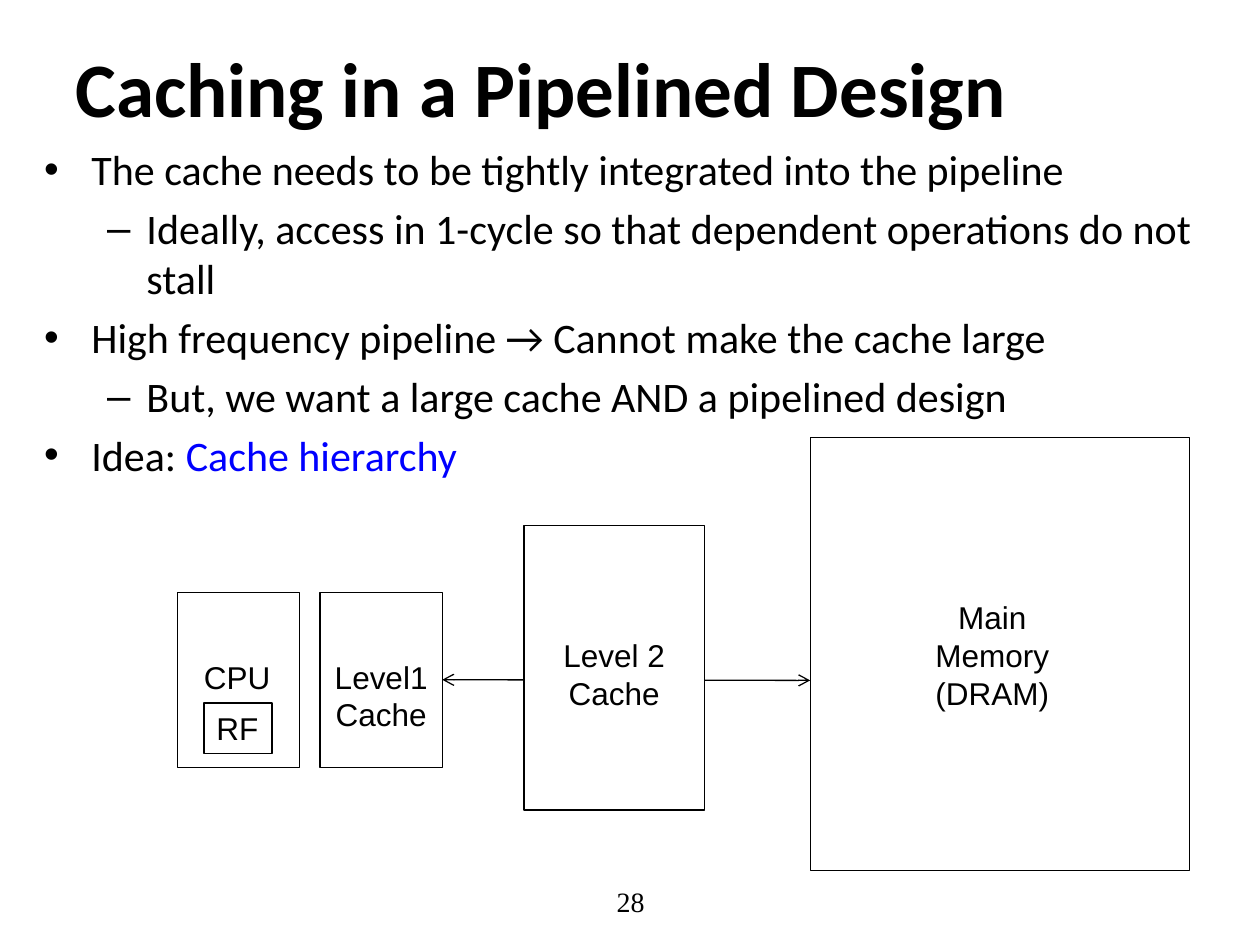
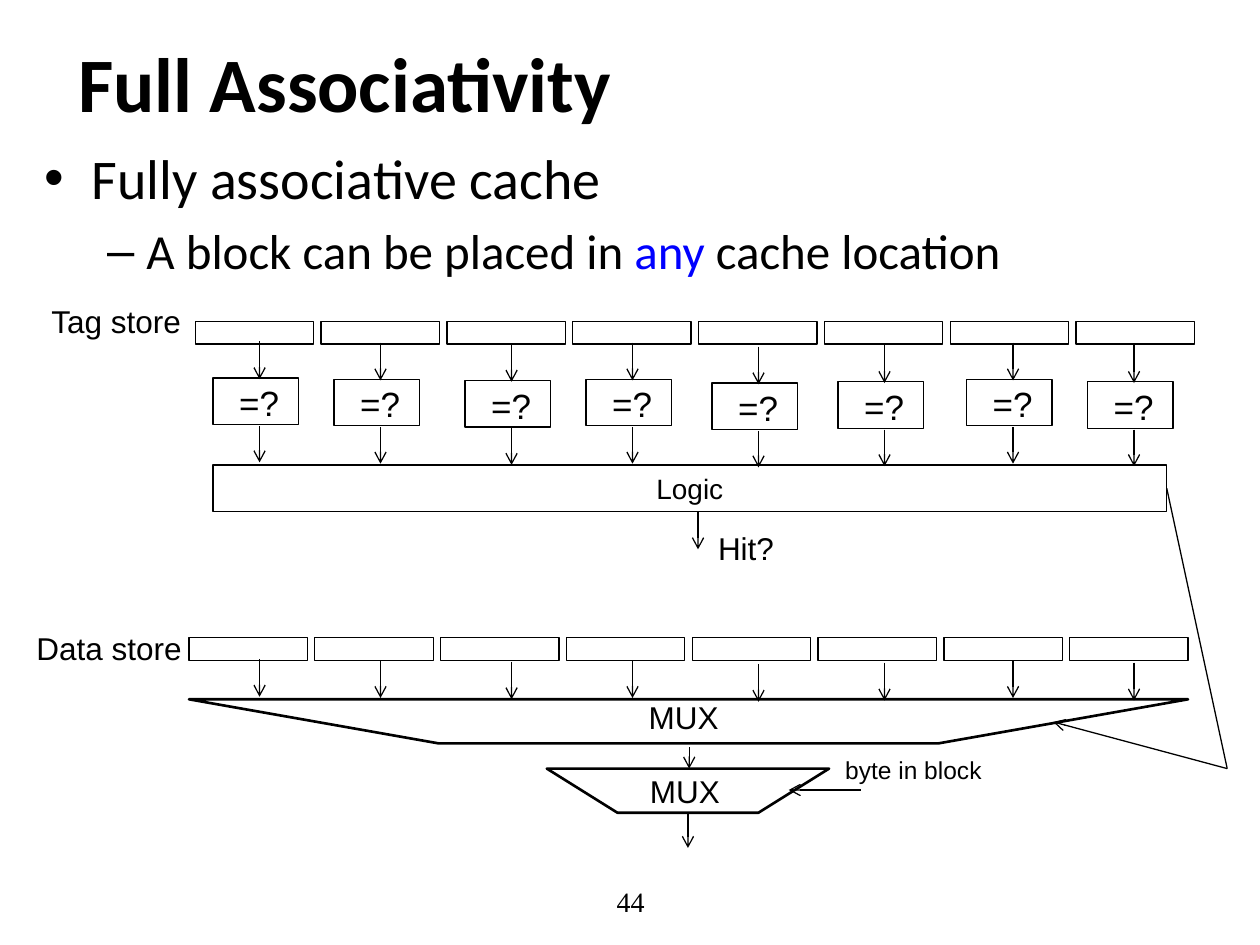
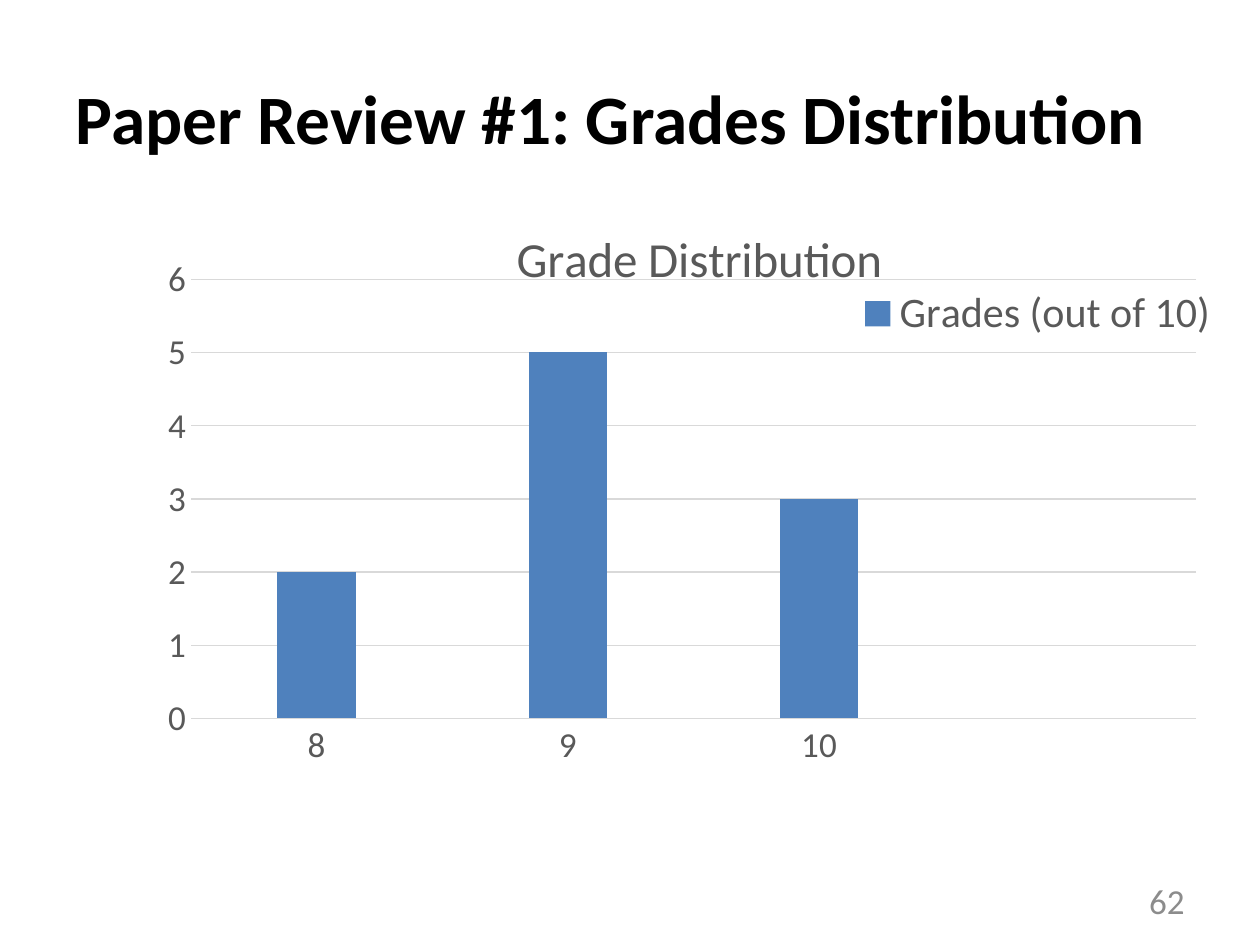
from dataclasses import dataclass

from lxml import etree
from pptx import Presentation
from pptx import util as u
from pptx.chart import data as chart_data
from pptx.dml import color
from pptx.enum import chart as chart_enum, shapes, text
from pptx.oxml import ns

Inches, Pt = u.Inches, u.Pt
LEFT, CENTER, RIGHT = (text.PP_ALIGN.LEFT, text.PP_ALIGN.CENTER,
                       text.PP_ALIGN.RIGHT)


@dataclass(frozen=True)
class Theme:
    ink: str = "000000"
    paper: str = "FFFFFF"
    accent: str = "0000FF"
    bar: str = "4F81BD"
    grid: str = "D9D9D9"
    chart_text: str = "595959"
    muted: str = "8C8C8C"
    text_font: str = "Calibri"
    diagram_font: str = "Arial"
    number_font: str = "Times New Roman"
    title: float = 44
    diagram: float = 18
    thin: float = 0.75
    thick: float = 1.5


T = Theme()


def rgb(value):
    return color.RGBColor.from_string(value)


def set_font(font, name, size, ink=T.ink, bold=False):
    for key, value in {"name": name, "size": Pt(size), "bold": bold}.items():
        setattr(font, key, value)
    font.color.rgb = rgb(ink)


def set_line(line, ink=T.ink, width=T.thin):
    line.color.rgb = rgb(ink)
    line.width = Pt(width)


def place(sp, left, top, width, height):
    box = {"left": left, "top": top, "width": width, "height": height}
    for key, value in box.items():
        setattr(sp, key, Inches(value))


def write(tf, words, size, font=T.diagram_font, ink=T.ink, align=LEFT):
    tf.text = words
    for p in tf.paragraphs:
        p.alignment = align
        for r in p.runs:
            set_font(r.font, font, size, ink)


class Panel:
    """A diagram region; all positions are inches from its top left corner."""

    def __init__(self, slide, left, top):
        self.shapes, self.left, self.top = slide.shapes, left, top

    def point(self, x, y):
        return Inches(self.left + x), Inches(self.top + y)

    def outline(self, sp, width=T.thin, fill=None):
        sp.shadow.inherit = False
        set_line(sp.line, width=width)
        if fill:
            sp.fill.solid()
            sp.fill.fore_color.rgb = rgb(fill)
        else:
            sp.fill.background()
        return sp

    def rect(self, x, y, w, h, fill=None):
        sp = self.shapes.add_shape(shapes.MSO_SHAPE.RECTANGLE,
                                   *self.point(x, y), Inches(w), Inches(h))
        return self.outline(sp, fill=fill)

    def fill_text(self, sp, words, size=T.diagram, align=LEFT, wrap=False):
        tf = sp.text_frame
        tf.word_wrap = wrap
        tf.auto_size = text.MSO_AUTO_SIZE.SHAPE_TO_FIT_TEXT
        tf.vertical_anchor = text.MSO_ANCHOR.TOP
        write(tf, words, size, align=align)

    def label(self, x, y, w, h, words, **fmt):
        sp = self.shapes.add_textbox(*self.point(x, y), Inches(w), Inches(h))
        self.fill_text(sp, words, **fmt)

    def line(self, start, end, ends=("tailEnd",)):
        cxn = self.shapes.add_connector(shapes.MSO_CONNECTOR.STRAIGHT,
                                        *self.point(*start), *self.point(*end))
        set_line(cxn.line)
        props = cxn.element.find(ns.qn("p:spPr"))
        for tag in ends:
            etree.SubElement(props.find(ns.qn("a:ln")), ns.qn(f"a:{tag}"),
                             type="arrow")
        etree.SubElement(props, ns.qn("a:effectLst"))
        return cxn

    def down_arrow(self, x, top, bottom):
        self.line((x, top), (x, bottom))

    def mux(self, x, y, w, h):
        """A trapezoid whose lower side is half as wide as the upper one."""
        corners = [(x + w, y), (x + w * 0.75, y + h),
                   (x + w * 0.25, y + h), (x, y)]
        start, *rest = [self.point(*corner) for corner in corners]
        builder = self.shapes.build_freeform(*start)
        builder.add_line_segments(rest, close=True)
        self.outline(builder.convert_to_shape(), T.thick)


def add_slide(prs, layout, title, left, top, size=T.title):
    slide = prs.slides.add_slide(prs.slide_layouts.get_by_name(layout))
    sp = slide.shapes.title
    place(sp, left, top, 9, 1.25)
    tf = sp.text_frame
    tf.text = title
    tf.auto_size = text.MSO_AUTO_SIZE.NONE
    tf.vertical_anchor = text.MSO_ANCHOR.MIDDLE
    tf.paragraphs[0].alignment = LEFT
    set_font(tf.paragraphs[0].runs[0].font, T.text_font, size, bold=True)
    return slide


def bullets(slide, items):
    """Fill the body from (level, size, pieces); odd pieces are accented."""
    sp = slide.placeholders[1]
    place(sp, 0.25, 1.09, 9.42, 5.68)
    tf = sp.text_frame
    tf.auto_size = text.MSO_AUTO_SIZE.NONE
    for i, (level, size, pieces) in enumerate(items):
        p = tf.add_paragraph() if i else tf.paragraphs[0]
        p.level = level
        for k, piece in enumerate(pieces):
            r = p.add_run()
            r.text = piece
            set_font(r.font, T.text_font, size, T.accent if k % 2 else T.ink)


def page_number(slide, number, left=3.42, width=3.17, size=16,
                font=T.number_font, ink=T.ink, align=CENTER):
    sp = slide.shapes.add_textbox(Inches(left), Inches(6.95),
                                  Inches(width), Inches(0.4))
    sp.text_frame.word_wrap = True
    sp.text_frame.vertical_anchor = text.MSO_ANCHOR.MIDDLE
    write(sp.text_frame, str(number), size, font, ink, align)


def cache_hierarchy(panel):
    centered = {"align": CENTER, "wrap": True}
    panel.rect(0, 1.23, 0.97, 1.39)
    panel.label(0.11, 1.7, 0.73, 0.4, "CPU")
    panel.fill_text(panel.rect(0.21, 2.11, 0.54, 0.4), "RF")
    panel.rect(5.02, 0, 3.01, 3.44)
    panel.label(5.91, 1.23, 1.11, 1.01, "Main\nMemory\n(DRAM)", **centered)
    level1 = panel.rect(1.13, 1.23, 0.97, 1.39)
    panel.label(1.13, 1.7, 0.97, 0.71, "Level1\nCache", **centered)
    bus = panel.line((5.02, 1.93), (2.1, 1.93), ("headEnd", "tailEnd"))
    bus.end_connect(level1, 3)
    panel.rect(2.75, 0.7, 1.43, 2.26, fill=T.paper)
    panel.label(2.75, 1.53, 1.43, 0.71, "Level 2\nCache", **centered)


# Arrow centre and downward shift of each way, relative to the store panels
WAYS = [(0.56, 0), (1.52, 0.01), (2.56, 0.02), (3.52, 0.01),
        (4.52, 0.04), (5.52, 0.03), (6.54, 0.01), (7.5, 0.03)]


def store_row(panel, x):
    for i in range(len(WAYS)):
        panel.rect(x + i * 6.99 / 7, 0, 0.94, 0.18)


def tag_store(panel):
    """Draw tags, comparators and hit logic; return the logic box."""
    panel.label(-1.19, -0.2, 1.24, 0.4, "Tag store")
    store_row(panel, 0.05)
    for x, shift in WAYS:
        panel.rect(x - 0.37, 0.45 + shift, 0.68, 0.37)
        panel.label(x - 0.26, 0.43 + shift, 0.52, 0.44, "=?", size=20)
        panel.down_arrow(x, 0.16 + shift, 0.46 + shift)
        panel.down_arrow(x, 0.83 + shift, 1.12 + shift)
    logic = panel.rect(0.19, 1.14, 7.57, 0.37)
    panel.fill_text(logic, "Logic", size=16, align=CENTER, wrap=True)
    panel.label(4.1, 1.6, 0.65, 0.4, "Hit?")
    panel.down_arrow(4.04, 1.51, 1.81)
    return logic


def data_store(panel, logic):
    """Draw data blocks and multiplexers, selected by the logic box."""
    panel.label(-1.31, -0.12, 1.37, 0.4, "Data store")
    store_row(panel, 0)
    for x, shift in WAYS:
        panel.down_arrow(x, 0.17 + shift, 0.47 + shift)
    panel.mux(0, 0.49, 7.93, 0.35)
    panel.label(3.55, 0.43, 0.89, 0.4, "MUX", wrap=True)
    panel.down_arrow(3.97, 0.87, 1.04)
    panel.mux(2.84, 1.04, 2.24, 0.35)
    panel.label(3.56, 1.02, 0.87, 0.4, "MUX", wrap=True)
    panel.down_arrow(3.96, 1.39, 1.67)
    panel.label(5.11, 0.88, 1.47, 0.34, "byte in block", size=14, wrap=True)
    panel.line((5.33, 1.21), (4.76, 1.21))
    bend = (8.24, 1.04)
    panel.line((7.76, -1.18), bend, ()).begin_connect(logic, 3)
    panel.line(bend, (6.86, 0.67))


def set_layout(node, index, inner=False, **box):
    """Give a chart part a fixed place, in fractions of the chart."""
    layout = node.find(ns.qn("c:layout"))
    if layout is None:
        layout = etree.Element(ns.qn("c:layout"))
        node.insert(index, layout)
    manual = etree.SubElement(layout, ns.qn("c:manualLayout"))
    values = {"layoutTarget": "inner"} if inner else {}
    values.update(xMode="edge", yMode="edge", **box)
    for tag, value in values.items():
        etree.SubElement(manual, ns.qn(f"c:{tag}"), val=str(value))


def grade_chart(slide, left, top, width, height):
    data = chart_data.CategoryChartData()
    data.categories = ["8", "9", "10", ""]
    data.add_series("Grades (out of 10)", (2, 5, 3, None))
    chart = slide.shapes.add_chart(
        chart_enum.XL_CHART_TYPE.COLUMN_CLUSTERED, Inches(left), Inches(top),
        Inches(width), Inches(height), data).chart
    set_font(chart.font, T.text_font, 10)

    plot = chart.plots[0]
    for key, value in {"gap_width": 219, "overlap": -27,
                       "vary_by_categories": False}.items():
        setattr(plot, key, value)
    fill = plot.series[0].format.fill
    fill.solid()
    fill.fore_color.rgb = rgb(T.bar)

    for axis in (chart.category_axis, chart.value_axis):
        axis.major_tick_mark = chart_enum.XL_TICK_MARK.NONE
        axis.minor_tick_mark = chart_enum.XL_TICK_MARK.NONE
        set_font(axis.tick_labels.font, T.text_font, 20, T.chart_text)
    set_line(chart.category_axis.format.line, T.grid)
    values = chart.value_axis
    values.format.line.fill.background()
    for key, value in {"minimum_scale": 0, "maximum_scale": 6,
                       "major_unit": 1}.items():
        setattr(values, key, value)
    set_line(values.major_gridlines.format.line, T.grid)

    chart.has_title = True
    write(chart.chart_title.text_frame, "Grade Distribution", 28,
          T.text_font, T.chart_text, CENTER)
    chart.has_legend = True
    chart.legend.position = chart_enum.XL_LEGEND_POSITION.RIGHT
    chart.legend.include_in_layout = False
    set_font(chart.legend.font, T.text_font, 24, T.chart_text)

    root = chart.element.find(ns.qn("c:chart"))
    set_layout(root.find(ns.qn("c:plotArea")), 0, inner=True,
               x=0.04, y=0.14, w=0.92, h=0.7)
    set_layout(root.find(ns.qn("c:title")), 1, x=0.33, y=0.04)
    set_layout(root.find(ns.qn("c:legend")), 1, x=0.64, y=0.14, w=0.35, h=0.11)


def pipeline_slide(prs):
    slide = add_slide(prs, "Title and Content",
                      "Caching in a Pipelined Design", 0.5, 0.06)
    bullets(slide, [
        (0, 24, ["The cache needs to be tightly integrated into the pipeline"]),
        (1, 24, ["Ideally, access in 1-cycle so that dependent operations "
                 "do not stall"]),
        (0, 24, ["High frequency pipeline → Cannot make the cache large"]),
        (1, 24, ["But, we want a large cache AND a pipelined design"]),
        (0, 24, ["Idea: ", "Cache hierarchy"]),
    ])
    page_number(slide, 28)
    cache_hierarchy(Panel(slide, 1.41, 3.47))


def associativity_slide(prs):
    slide = add_slide(prs, "Title and Content", "Full Associativity",
                      0.52, 0.02)
    bullets(slide, [
        (0, 32, ["Fully associative cache"]),
        (1, 28, ["A block can be placed in ", "any", " cache location"]),
    ])
    page_number(slide, 44)
    logic = tag_store(Panel(slide, 1.5, 2.55))
    data_store(Panel(slide, 1.5, 5.06), logic)


def grades_slide(prs):
    slide = add_slide(prs, "Title Only", "Paper Review #1: Grades Distribution",
                      0.5, 0.3, size=39.6)
    page_number(slide, 62, left=7.17, width=2.33, size=20, font=T.text_font,
                ink=T.muted, align=RIGHT)
    grade_chart(slide, 1.17, 1.52, 8.67, 4.98)


def main():
    prs = Presentation()
    prs.slide_width, prs.slide_height = Inches(10), Inches(7.5)
    for build in (pipeline_slide, associativity_slide, grades_slide):
        build(prs)
    prs.save("out.pptx")


if __name__ == "__main__":
    main()
